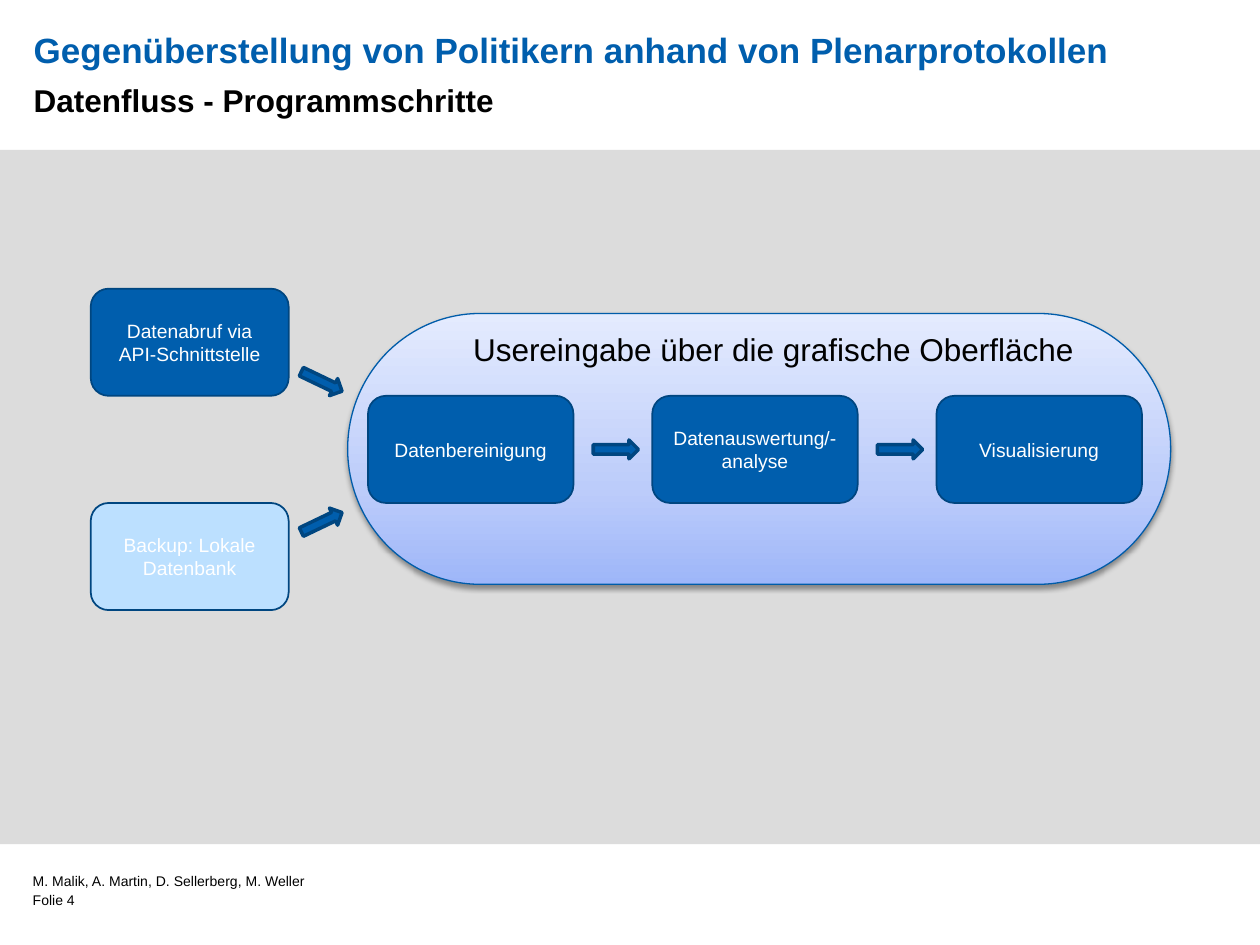
from copy import deepcopy
from dataclasses import dataclass

from lxml import etree
from pptx import Presentation
from pptx.dml.color import RGBColor
from pptx.enum.shapes import MSO_SHAPE
from pptx.enum.text import MSO_ANCHOR, MSO_AUTO_SIZE, PP_ALIGN
from pptx.oxml.ns import qn
from pptx.util import Cm, Pt

RECT = MSO_SHAPE.RECTANGLE
STEP = MSO_SHAPE.FLOWCHART_ALTERNATE_PROCESS
ZONE = MSO_SHAPE.FLOWCHART_TERMINATOR
ARROW = MSO_SHAPE.RIGHT_ARROW
LEFT, CENTER = PP_ALIGN.LEFT, PP_ALIGN.CENTER
TOP, MIDDLE = MSO_ANCHOR.TOP, MSO_ANCHOR.MIDDLE
TITLE_ONLY = 5
INSET = (0.25, 0.13, 0.25, 0.13)
FLUSH = (0, 0, 0, 0)


@dataclass(frozen=True)
class Theme:
    font: str = "Arial"
    blue: str = "005EAD"
    pale: str = "BCE0FF"
    edge: str = "004680"
    rim: str = "005CA9"
    band: str = "DCDCDC"
    ink: str = "000000"
    white: str = "FFFFFF"
    fade: tuple = ((0, "9EB6F9"), (0.35, "BCCCFA"), (1, "E4EBFE"))
    title: int = 20
    head: int = 18
    label: int = 11
    small: int = 8


THEME = Theme()


def rgb(code):
    return RGBColor.from_string(code)


def write(shape, text, size, color=THEME.ink, bold=False, align=LEFT,
          anchor=TOP, inset=INSET):
    frame = shape.text_frame
    frame.word_wrap = True
    frame.auto_size = MSO_AUTO_SIZE.NONE
    frame.vertical_anchor = anchor
    (frame.margin_left, frame.margin_top,
     frame.margin_right, frame.margin_bottom) = map(Cm, inset)
    frame.text = text
    para = frame.paragraphs[0]
    para.alignment = align
    font = para.runs[0].font
    font.name, font.size, font.bold = THEME.font, Pt(size), bold
    font.color.rgb = rgb(color)


def draw(shapes, kind, box, fill=THEME.blue, line=THEME.edge, width=1):
    shape = shapes.add_shape(kind, *map(Cm, box))
    shape.shadow.inherit = False
    if fill:
        shape.fill.solid()
        shape.fill.fore_color.rgb = rgb(fill)
    if line:
        shape.line.color.rgb = rgb(line)
        shape.line.width = Pt(width)
    else:
        shape.line.fill.background()
    return shape


def label(shapes, box, text, size, **form):
    write(shapes.add_textbox(*map(Cm, box)), text, size, **form)


def shade(shape):
    """Give the shape the theme's three-stop fade and a soft shadow below."""
    fill = shape.fill
    fill.gradient()
    fill.gradient_angle = 90
    props = shape._element.spPr
    stops = props.find(qn("a:gradFill")).find(qn("a:gsLst"))
    stops.append(deepcopy(stops[-1]))
    for stop, (place, color) in zip(fill.gradient_stops, THEME.fade):
        stop.position = place
        stop.color.rgb = rgb(color)
    effects = props.find(qn("a:effectLst"))
    outer = etree.SubElement(effects, qn("a:outerShdw"), blurRad="40000",
                             dist="20000", dir="5400000", rotWithShape="0")
    tint = etree.SubElement(outer, qn("a:srgbClr"), val=THEME.ink)
    etree.SubElement(tint, qn("a:alpha"), val="38000")


def header(slide, box):
    x, y, w, h = box
    half = h / 2
    title = slide.shapes.title
    title.left, title.top, title.width, title.height = map(Cm, (x, y, w, half))
    write(title, "Gegenüberstellung von Politikern anhand von Plenarprotokollen",
          THEME.title, color=THEME.blue, bold=True, anchor=MIDDLE,
          inset=(0, 0, 0.25, 0))
    label(slide.shapes, (x, y + half, w, half), "Datenfluss - Programmschritte",
          THEME.head, bold=True, inset=(0, 0.13, 0.25, 0))


def footer(slide, box):
    x, y, w, h = box
    lines = ("M. Malik, A. Martin, D. Sellerberg, M. Weller", "Folie 4")
    row = h / len(lines)
    for i, text in enumerate(lines):
        label(slide.shapes, (x, y + i * row, w, row), text, THEME.small,
              inset=FLUSH)


def step(shapes, box, text, fill=THEME.blue):
    write(draw(shapes, STEP, box, fill=fill), text, THEME.label,
          color=THEME.white, align=CENTER, anchor=MIDDLE)


def arrow(shapes, x, y, turn=0):
    draw(shapes, ARROW, (x, y, 0.91, 0.38), width=2).rotation = turn


def flow(slide, box):
    x, y, w, h = box
    shapes = slide.shapes.add_group_shape().shapes
    wide, high, pitch = 4.14, 2.16, 5.73
    left, mid = x + 5.59, y + high

    shade(draw(shapes, ZONE, (x + 5.18, y + 0.5, w - 5.18, 5.46),
               fill=None, line=THEME.rim, width=0.75))

    sources = (("Datenabruf via API-Schnittstelle", THEME.blue, 0, 1.68, 25.6),
               ("Backup: Lokale Datenbank", THEME.pale, h - high, 4.52, -25.6))
    for text, fill, drop, tip, turn in sources:
        step(shapes, (x, y + drop, 3.99, high), text, fill=fill)
        arrow(shapes, x + 4.2, y + tip, turn=turn)

    names = ("Datenbereinigung", "Datenauswertung/-analyse", "Visualisierung")
    for i, text in enumerate(names):
        at = left + i * pitch
        step(shapes, (at, mid, wide, high), text)
        if i < len(names) - 1:
            arrow(shapes, at + wide + 0.4, mid + (high - 0.38) / 2)

    label(shapes, (x + 6.76, y + 0.71, 14, 2.13),
          "Usereingabe über die grafische Oberfläche", THEME.head, align=CENTER)


def main():
    deck = Presentation()
    deck.slide_width, deck.slide_height = Cm(25.4), Cm(19.05)
    slide = deck.slides.add_slide(deck.slide_layouts[TITLE_ONLY])
    draw(slide.shapes, RECT, (0, 3.02, 25.4, 14), fill=THEME.band, line=None)
    header(slide, (0.68, 0.5, 24, 2))
    flow(slide, (1.83, 5.82, 21.77, 6.48))
    footer(slide, (0.66, 17.58, 18.97, 0.8))
    deck.save("out.pptx")


if __name__ == "__main__":
    main()
